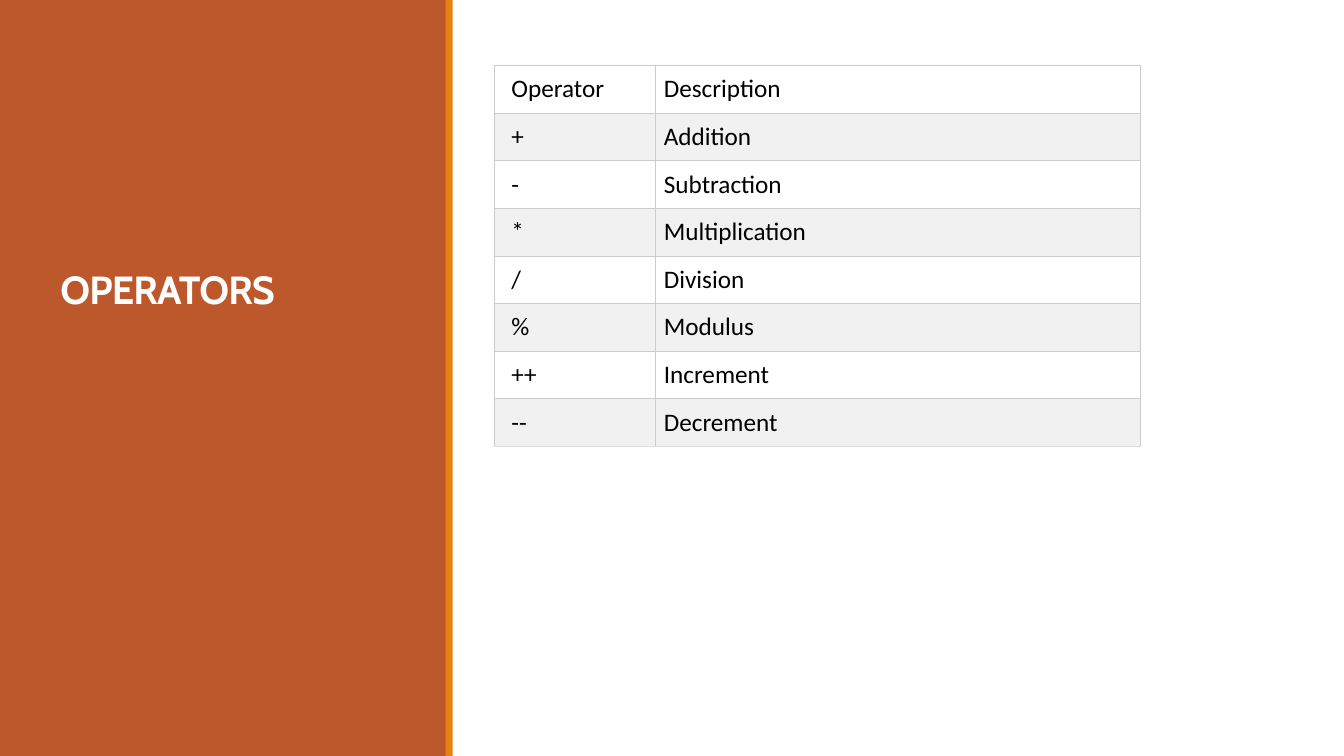
from dataclasses import dataclass
from typing import Any

from lxml.etree import SubElement
from pptx import Presentation
from pptx.dml.color import RGBColor
from pptx.enum.shapes import MSO_SHAPE as Shape
from pptx.enum.text import MSO_ANCHOR as Anchor, PP_ALIGN as Align
from pptx.oxml.ns import qn
from pptx.util import Cm, Pt

TITLE_FONT = {"name": "Cabin", "size": Pt(28), "bold": True}
BODY_FONT = {"name": "Calibri", "size": Pt(18), "bold": False}
GRID, GRID_END = "CCCCCC", "DDDDDD"
ROW_FILLS = ("FFFFFF", "F1F1F1")
ROW_HEIGHT = 1.2
COLUMN_WIDTHS = (4.05, 12.22)
CELL_INSET, FIRST_INSET = 0.21, 0.42


@dataclass
class Band:
    left: float
    width: float
    color: str


@dataclass
class Operator:
    symbol: str
    description: str


BANDS = [Band(0, 11.25, "BD582C"), Band(11.23, 0.18, "E48312")]
OPERATORS = [
    Operator("Operator", "Description"),
    Operator("+", "Addition"),
    Operator("-", "Subtraction"),
    Operator("*", "Multiplication"),
    Operator("/", "Division"),
    Operator("%", "Modulus"),
    Operator("++", "Increment"),
    Operator("--", "Decrement"),
]


def rgb(color: str) -> RGBColor:
    return RGBColor.from_string(color)


def apply(target: Any, values: dict[str, Any]) -> None:
    for name, value in values.items():
        setattr(target, name, value)


def write(paragraph: Any, text: str, font: dict[str, Any], color: str) -> Any:
    run = paragraph.add_run()
    run.text = text
    apply(run.font, font)
    run.font.color.rgb = rgb(color)
    return run


def draw_band(slide: Any, band: Band) -> None:
    bar = slide.shapes.add_shape(
        Shape.RECTANGLE, Cm(band.left), 0, Cm(band.width), Cm(19.05))
    bar.shadow.inherit = False
    bar.fill.solid()
    bar.fill.fore_color.rgb = rgb(band.color)
    bar.line.fill.background()


def draw_title(slide: Any, text: str) -> None:
    frame = slide.shapes.add_textbox(Cm(1.27), Cm(1.65), Cm(8.89), Cm(6.35)).text_frame
    apply(frame, {"word_wrap": True, "vertical_anchor": Anchor.BOTTOM})
    heading = frame.paragraphs[0]
    apply(heading, {"line_spacing": 0.85, "alignment": Align.LEFT})
    run = write(heading, text, TITLE_FONT, "FFFFFF")
    run._r.get_or_add_rPr().set("spc", "-50")


def draw_borders(cell: Any, bottom: str) -> None:
    properties = cell._tc.get_or_add_tcPr()
    sides = {"lnL": GRID, "lnR": GRID, "lnT": GRID, "lnB": bottom}
    for side, color in sides.items():
        border = SubElement(properties, qn(f"a:{side}"), w=str(Pt(0.75)))
        fill = SubElement(border, qn("a:solidFill"))
        SubElement(fill, qn("a:srgbClr"), val=color)


def fill_cell(cell: Any, text: str, inset: float, color: str, bottom: str) -> None:
    apply(cell, {
        "margin_left": Cm(inset), "margin_right": Cm(CELL_INSET),
        "margin_top": Cm(CELL_INSET), "margin_bottom": Cm(CELL_INSET)})
    write(cell.text_frame.paragraphs[0], text, BODY_FONT, "000000")
    # Borders come before the fill in the cell properties
    draw_borders(cell, bottom)
    cell.fill.solid()
    cell.fill.fore_color.rgb = rgb(color)


def draw_operators(slide: Any, operators: list[Operator]) -> None:
    count = len(operators)
    table = slide.shapes.add_table(
        count, len(COLUMN_WIDTHS), Cm(12.47), Cm(1.65),
        Cm(sum(COLUMN_WIDTHS)), Cm(ROW_HEIGHT * count)).table
    apply(table, {"first_row": False, "horz_banding": False})
    for column, width in zip(table.columns, COLUMN_WIDTHS):
        column.width = Cm(width)
    for index, operator in enumerate(operators):
        table.rows[index].height = Cm(ROW_HEIGHT)
        color = ROW_FILLS[index % 2]
        bottom = GRID_END if index == count - 1 else GRID
        fill_cell(table.cell(index, 0), operator.symbol, FIRST_INSET, color, bottom)
        fill_cell(table.cell(index, 1), operator.description, CELL_INSET, color, bottom)


deck = Presentation()
apply(deck, {"slide_width": Cm(33.87), "slide_height": Cm(19.05)})
slide = deck.slides.add_slide(deck.slide_layouts[6])

# Side panel with its accent stripe
for band in BANDS:
    draw_band(slide, band)
draw_title(slide, "OPERATORS")

# Operator table
draw_operators(slide, OPERATORS)

deck.save("out.pptx")
